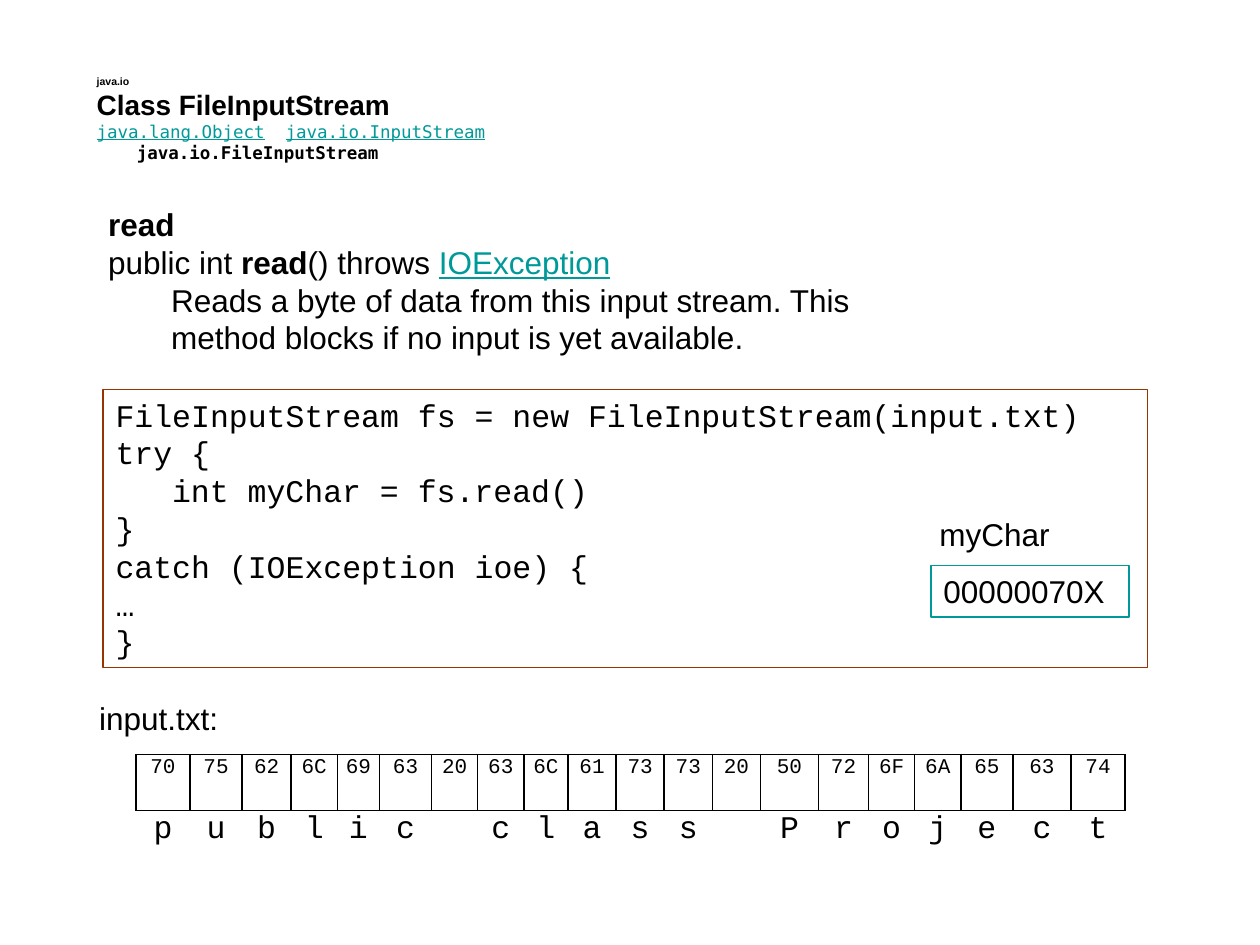
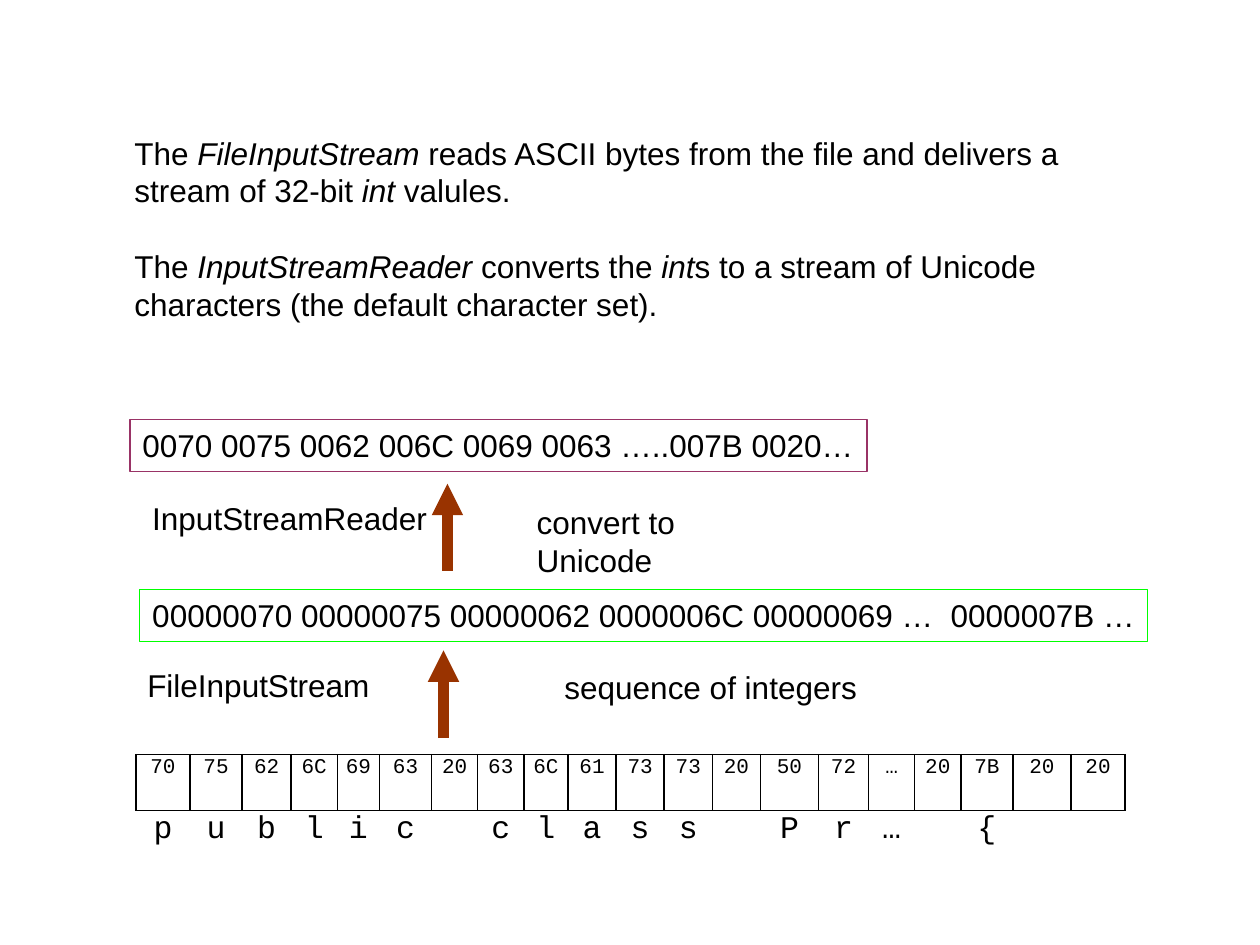
from lxml.etree import SubElement
from pptx import Presentation
from pptx.dml.color import RGBColor
from pptx.enum.shapes import MSO_CONNECTOR, MSO_SHAPE
from pptx.enum.text import MSO_ANCHOR, PP_ALIGN
from pptx.oxml.ns import qn
from pptx.util import Cm, Pt

BLACK, TEAL, RUST = "000000", "009999", "993300"
GREEN, PLUM = "00FF00", "993366"
SANS, CODE, MONO = "Arial", "Courier New", "DejaVu Sans Mono"
BOLD, ITALIC = {"bold": True}, {"italic": True}
LINK = {"color": TEAL, "underline": True}

# A paragraph is (runs, format); a run is plain text or (text, format).
CLASS_HEADER = [
    (["java.io"], dict(size=6, bold=True, line=19.2)),
    (["Class FileInputStream"], dict(size=16, bold=True)),
    ([("java.lang.Object", LINK), "\t", ("java.io.InputStream", LINK)],
     dict(size=10, font=MONO, tab=4.83)),
    (["java.io.FileInputStream"], dict(size=10, font=MONO, bold=True, indent=0.81)),
]
READ_METHOD = [
    (["read"], BOLD),
    (["public int ", ("read", BOLD), "() throws ", ("IOException", LINK)], {}),
    (["Reads a byte of data from this input stream. "
      "This method blocks if no input is yet available."], dict(indent=1.27)),
]
READ_CODE = [
    (["FileInputStream fs = new FileInputStream(input.txt)"], {}),
    (["try {"], {}),
    (["int myChar = fs.read()"], dict(indent=1.14)),
    (["}"], {}),
    (["catch (IOException ioe) {"], {}),
    (["…"], {}),
    (["}"], {}),
]
READERS = [
    (["The ", ("FileInputStream", ITALIC),
      " reads ASCII bytes from the file and delivers a stream of 32-bit ",
      ("int", ITALIC), " valules."], {}),
    (["The ", ("InputStreamReader", ITALIC), " converts the ", ("int", ITALIC),
      "s to a stream of Unicode characters (the default character set)."],
     dict(before=21.6)),
]
FILE_START = "public class Project"
FILE_EXCERPT = "public class Pr… {  "
BYTE_WIDTHS = [1.09, 1.05, 0.99, 0.93, 0.85, 1.05, 0.93, 0.93, 0.89, 0.97,
               0.97, 0.97, 0.97, 1.17, 1.01, 0.93, 0.93, 1.05, 1.17, 1.09]

# text, left, top, width
FILE_LABELS = [("input.txt:", 1.75, 13.97, 2.92), ("myChar", 18.69, 10.26, 2.74)]
STAGE_LABELS = [
    ("FileInputStream", 2.72, 13.31, 5.0),
    ("sequence of integers", 11.13, 13.34, 6.4),
    ("InputStreamReader", 2.82, 9.93, 6.05),
    ("convert to Unicode", 10.57, 10.01, 5.79),
]
# text, left, top, width, line colour
STREAMS = [
    ("0070 0075 0062 006C 0069 0063 …..007B 0020…", 2.62, 8.46, 14.86, PLUM),
    ("00000070 00000075 00000062 0000006C 00000069 …  0000007B …",
     2.82, 11.89, 20.32, GREEN),
]
STAGE_ARROWS = [(8.94, 14.88, 13.11), (9.02, 11.51, 9.75)]  # x, from y, to y


def rgb(value):
    return RGBColor.from_string(value)


def add_run(p, text, size=18, font=SANS, color=BLACK, bold=False, italic=False,
            underline=False):
    r = p.add_run()
    r.text = text
    f = r.font
    f.size, f.name, f.color.rgb = Pt(size), font, rgb(color)
    f.bold, f.italic, f.underline = bold, italic, underline


def write_paragraph(p, runs, align=PP_ALIGN.LEFT, indent=0, tab=None, before=0,
                    line=None, **fmt):
    """Write the runs with lines 1.2 times the text size, unless line is given."""
    p.alignment, p.space_before = align, Pt(before)
    p.line_spacing = Pt(line or 1.2 * fmt.get("size", 18))
    pPr = p._p.get_or_add_pPr()
    pPr.set("marL", str(Cm(indent)))
    pPr.set("indent", "0")
    if tab:
        tabs = SubElement(pPr, qn("a:tabLst"))
        SubElement(tabs, qn("a:tab"), pos=str(Cm(tab)), algn="l")
    for run in runs:
        text, extra = (run, {}) if isinstance(run, str) else run
        add_run(p, text, **{**fmt, **extra})


def write(tf, content, wrap=True, anchor=MSO_ANCHOR.TOP, **fmt):
    """Fill a text frame with one string or a list of paragraphs."""
    tf.word_wrap, tf.vertical_anchor = wrap, anchor
    paragraphs = [([content], {})] if isinstance(content, str) else content
    for i, (runs, extra) in enumerate(paragraphs):
        p = tf.add_paragraph() if i else tf.paragraphs[0]
        write_paragraph(p, runs, **{**fmt, **extra})


def add_text(s, content, left, top, width, height=1.02, **fmt):
    sp = s.shapes.add_textbox(Cm(left), Cm(top), Cm(width), Cm(height))
    write(sp.text_frame, content, **fmt)


def add_frame(s, content, left, top, width, color, height=1.04, **fmt):
    """Add an unfilled rectangle with a thin coloured outline around its text."""
    sp = s.shapes.add_shape(MSO_SHAPE.RECTANGLE, Cm(left), Cm(top),
                            Cm(width), Cm(height))
    sp.shadow.inherit = False
    sp.fill.background()
    sp.line.color.rgb, sp.line.width = rgb(color), Pt(0.75)
    write(sp.text_frame, content, **fmt)


def add_arrow(s, x, y_from, y_to):
    c = s.shapes.add_connector(MSO_CONNECTOR.STRAIGHT, Cm(x), Cm(y_from),
                               Cm(x), Cm(y_to))
    c.line.color.rgb, c.line.width = rgb(RUST), Pt(6)
    SubElement(c.line._get_or_add_ln(), qn("a:tailEnd"), type="triangle")
    SubElement(c._element.spPr, qn("a:effectLst"))


def set_borders(cell, sides):
    """Draw black borders on the given sides, and none on the others."""
    tcPr = cell._tc.get_or_add_tcPr()
    for side in "LRTB":
        ln = SubElement(tcPr, qn(f"a:ln{side}"), w=str(Pt(1)))
        if side in sides:
            fill = SubElement(ln, qn("a:solidFill"))
            SubElement(fill, qn("a:srgbClr"), val=BLACK)
        else:
            SubElement(ln, qn("a:noFill"))


def hex_code(char):
    return char if char == "…" else f"{ord(char):02X}"


def add_byte_table(s, chars):
    """Show each character's byte in a boxed row, with the character below."""
    row_height = 1.13
    table = s.shapes.add_table(2, len(chars), Cm(2.74), Cm(15.21),
                               Cm(sum(BYTE_WIDTHS)), Cm(2 * row_height)).table
    table.first_row = table.horz_banding = False
    for row in table.rows:
        row.height = Cm(row_height)
    for col, (char, width) in enumerate(zip(chars, BYTE_WIDTHS)):
        table.columns[col].width = Cm(width)
        rows = [(hex_code(char), 12, "LRTB"), (char.strip(), 18, "T")]
        for row, (text, size, sides) in enumerate(rows):
            cell = table.cell(row, col)
            cell.margin_left = cell.margin_right = 0
            cell.margin_top = cell.margin_bottom = 0
            set_borders(cell, sides)
            cell.fill.background()
            if text:
                write_paragraph(cell.text_frame.paragraphs[0], [text], size=size,
                                font=CODE, align=PP_ALIGN.CENTER)


def build_read_slide(s):
    add_text(s, CLASS_HEADER, 1.7, 1.17, 11.4, 2.03, anchor=MSO_ANCHOR.MIDDLE)
    add_text(s, READ_METHOD, 1.93, 4.01, 17.32, 4.06)
    add_frame(s, READ_CODE, 2.08, 7.85, 21.06, RUST, height=5.61, font=CODE)
    add_byte_table(s, FILE_START)
    for label in FILE_LABELS:
        add_text(s, *label, wrap=False)
    add_frame(s, "00000070X", 18.77, 11.4, 3.99, TEAL, wrap=False)


def build_stream_slide(s):
    add_text(s, READERS, 2.46, 2.57, 19.2, 4.06)
    add_byte_table(s, FILE_EXCERPT)
    for stream in STREAMS:
        add_frame(s, *stream, wrap=False)
    for label in STAGE_LABELS:
        add_text(s, *label, wrap=False)
    for arrow in STAGE_ARROWS:
        add_arrow(s, *arrow)


def main():
    prs = Presentation()
    prs.slide_width, prs.slide_height = Cm(25.4), Cm(19.05)
    for build in (build_read_slide, build_stream_slide):
        build(prs.slides.add_slide(prs.slide_layouts[6]))
    prs.save("out.pptx")


if __name__ == "__main__":
    main()
